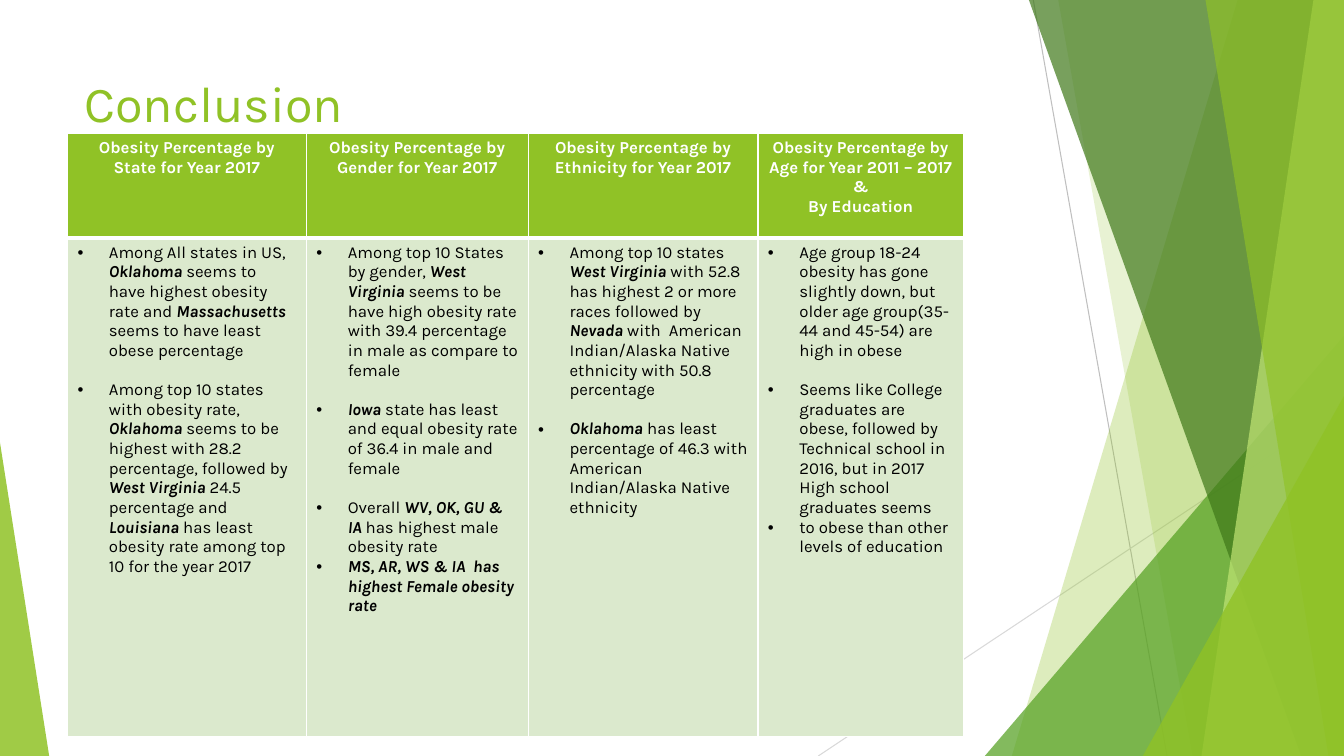
from lxml.etree import SubElement
from pptx import Presentation
from pptx.dml.color import RGBColor
from pptx.enum.shapes import MSO_CONNECTOR, MSO_SHAPE
from pptx.enum.text import MSO_ANCHOR, PP_ALIGN
from pptx.oxml.ns import qn
from pptx.util import Cm, Pt

LIME = RGBColor(0x90, 0xC2, 0x26)
PALE_LIME = RGBColor(0xC0, 0xE4, 0x74)
GREEN = RGBColor(0x54, 0xA0, 0x21)
FOREST = RGBColor(0x3F, 0x78, 0x19)
MINT = RGBColor(0xDB, 0xE9, 0xCD)
SILVER = RGBColor(0xBF, 0xBF, 0xBF)
LIGHT_SILVER = RGBColor(0xD9, 0xD9, 0xD9)
WHITE = RGBColor(0xFF, 0xFF, 0xFF)
BLACK = RGBColor(0, 0, 0)

FONT = "Karla"
SLIDE_WIDTH, SLIDE_HEIGHT = 33.87, 19.05

HEADINGS = [
    ["Obesity Percentage by State for Year 2017"],
    ["Obesity Percentage by Gender for Year 2017"],
    ["Obesity Percentage by Ethnicity for Year 2017"],
    ["Obesity Percentage by Age for Year 2011 – 2017", "&", "By Education"],
]

# Findings per column, grouped; asterisks enclose emphasis.
FINDINGS = [
    [
        ["Among All states in US, *Oklahoma *seems to have highest obesity rate and "
         "*Massachusetts *seems to have least obese percentage"],
        ["Among top 10 states with obesity rate, *Oklahoma *seems to be highest with 28.2 "
         "percentage, followed by *West Virginia *24.5 percentage and *Louisiana *has least "
         "obesity rate among top 10 for the year 2017"],
    ],
    [
        ["Among top 10 States by gender, *West Virginia *seems to be have high obesity rate "
         "with 39.4 percentage in male as compare to female"],
        ["*Iowa* state has least and equal obesity rate of 36.4 in male and female"],
        ["Overall *WV, OK, GU & IA *has highest male obesity rate",
         "*MS, AR, WS & IA  has highest Female obesity rate*"],
    ],
    [
        ["Among top 10 states *West Virginia *with 52.8 has highest 2 or more races followed "
         "by *Nevada* with  American Indian/Alaska Native ethnicity with 50.8 percentage"],
        ["*Oklahoma* has least percentage of 46.3 with American Indian/Alaska Native ethnicity"],
    ],
    [
        ["Age group 18-24 obesity has gone slightly down, but older age group(35-44 and 45-54) "
         "are high in obese"],
        ["Seems like College graduates are obese, followed by Technical school in 2016, but in "
         "2017 High school graduates seems",
         "to obese than other levels of education"],
    ],
]


def add_run(paragraph, text, size, color, bold=False, italic=False):
    run = paragraph.add_run()
    run.text = text
    run.font.name = FONT
    run.font.size = Pt(size)
    run.font.color.rgb = color
    run.font.bold = bold
    run.font.italic = italic


def paint(shape, color, opacity):
    shape.shadow.inherit = False
    shape.fill.solid()
    shape.fill.fore_color.rgb = color
    shape.line.fill.background()
    tint = shape.fill._xPr.find(qn("a:solidFill"))[0]
    SubElement(tint, qn("a:alpha"), val=str(opacity * 1000))


def add_ray(slide, start, end, color):
    ray = slide.shapes.add_connector(
        MSO_CONNECTOR.STRAIGHT, *(Cm(value) for value in start + end))
    ray.line.color.rgb = color
    ray.line.width = Pt(0.75)
    SubElement(ray._element.spPr, qn("a:effectLst"))


def add_facet(slide, top_x, bottom_x, color, opacity):
    outline = slide.shapes.build_freeform(Cm(top_x), 0, scale=1.0)
    outline.add_line_segments([
        (Cm(SLIDE_WIDTH), 0),
        (Cm(SLIDE_WIDTH), Cm(SLIDE_HEIGHT)),
        (Cm(bottom_x), Cm(SLIDE_HEIGHT)),
    ])
    paint(outline.convert_to_shape(), color, opacity)


def add_corner(slide, left, top, width, apex, color, opacity):
    corner = slide.shapes.add_shape(
        MSO_SHAPE.ISOSCELES_TRIANGLE, Cm(left), Cm(top), Cm(width), Cm(SLIDE_HEIGHT - top))
    corner.adjustments[0] = apex
    paint(corner, color, opacity)


def add_backdrop(slide):
    add_ray(slide, (26.04, 0), (29.41, SLIDE_HEIGHT), SILVER)
    add_ray(slide, (SLIDE_WIDTH, 10.24), (20.62, SLIDE_HEIGHT), LIGHT_SILVER)
    add_facet(slide, 31.19, 25.5, LIME, 30)
    add_facet(slide, 26.67, 30.05, LIME, 20)
    add_corner(slide, 24.82, 8.46, SLIDE_WIDTH - 24.82, 1, GREEN, 72)
    add_facet(slide, 25.93, 32.79, FOREST, 70)
    add_facet(slide, 33.1, 30.28, PALE_LIME, 70)
    add_facet(slide, 30.38, 33.48, LIME, 65)
    add_corner(slide, 28.8, 9.98, SLIDE_WIDTH - 28.8, 1, LIME, 80)
    add_corner(slide, 0, 11.15, 1.24, 0, LIME, 85)


def add_title(slide, left, top, width, height):
    title = slide.shapes.add_textbox(Cm(left), Cm(top), Cm(width), Cm(height)).text_frame
    title.word_wrap = True
    title.vertical_anchor = MSO_ANCHOR.TOP
    add_run(title.paragraphs[0], "Conclusion", 36, LIME)


def style_cell(cell, fill, borders):
    properties = cell._tc.get_or_add_tcPr()
    for side, points in borders.items():
        border = SubElement(properties, qn(f"a:ln{side}"), w=str(Pt(points)))
        stroke = SubElement(border, qn("a:solidFill"))
        SubElement(stroke, qn("a:srgbClr"), val=str(WHITE))
    cell.fill.solid()
    cell.fill.fore_color.rgb = fill


def next_paragraph(frame):
    first = frame.paragraphs[0]
    return frame.add_paragraph() if first.runs else first


def write_heading(cell, lines):
    style_cell(cell, LIME, {"L": 1, "R": 1, "T": 1, "B": 3})
    for line in lines:
        paragraph = next_paragraph(cell.text_frame)
        paragraph.alignment = PP_ALIGN.CENTER
        add_run(paragraph, line, 12, WHITE, bold=True)


def write_finding(paragraph, finding):
    properties = paragraph._p.get_or_add_pPr()
    properties.set("marL", str(Cm(0.79)))
    properties.set("indent", str(-Cm(0.79)))
    SubElement(properties, qn("a:buFont"), typeface="Arial")
    SubElement(properties, qn("a:buChar"), char="•")
    for index, text in enumerate(finding.split("*")):
        if text:
            emphasis = index % 2 == 1
            add_run(paragraph, text, 12, BLACK, emphasis, emphasis)


def write_findings(cell, groups):
    style_cell(cell, MINT, {"L": 1, "R": 1, "B": 1})
    for group in groups:
        for finding in group:
            paragraph = next_paragraph(cell.text_frame)
            write_finding(paragraph, finding)
        if group is not groups[-1]:
            paragraph.space_after = Pt(14)


def add_conclusions(slide, left, top, column_widths, row_heights):
    table = slide.shapes.add_table(
        len(row_heights), len(column_widths), Cm(left), Cm(top),
        Cm(sum(column_widths)), Cm(sum(row_heights))).table
    for row, height in zip(table.rows, row_heights):
        row.height = Cm(height)
    for index, width in enumerate(column_widths):
        table.columns[index].width = Cm(width)
        write_heading(table.cell(0, index), HEADINGS[index])
        write_findings(table.cell(1, index), FINDINGS[index])


def main():
    presentation = Presentation()
    presentation.slide_width = Cm(SLIDE_WIDTH)
    presentation.slide_height = Cm(SLIDE_HEIGHT)
    slide = presentation.slides.add_slide(presentation.slide_layouts[6])
    add_backdrop(slide)
    add_title(slide, 1.88, 1.7, 23.88, 3.66)
    add_conclusions(slide, 1.7, 3.35, [6.02, 5.59, 5.79, 5.18], [2.64, 12.57])
    presentation.save("out.pptx")


if __name__ == "__main__":
    main()
